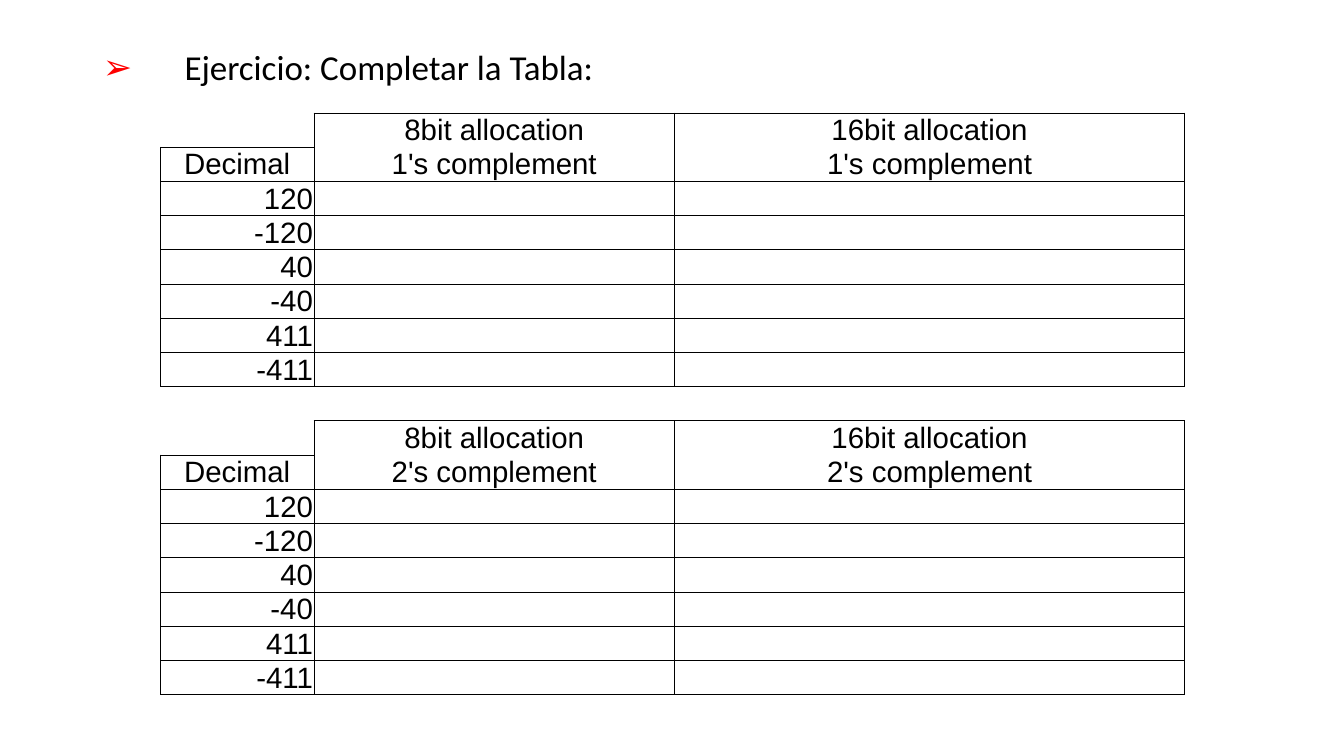
from dataclasses import dataclass

from lxml import etree
from pptx import Presentation
from pptx.dml.color import RGBColor
from pptx.enum.text import MSO_ANCHOR, MSO_AUTO_SIZE, PP_ALIGN
from pptx.oxml.ns import qn
from pptx.util import Inches, Pt

LEFT, MID, RIGHT = PP_ALIGN.LEFT, PP_ALIGN.CENTER, PP_ALIGN.RIGHT
CENTER, BOTTOM = MSO_ANCHOR.MIDDLE, MSO_ANCHOR.BOTTOM
FIXED = MSO_AUTO_SIZE.NONE


@dataclass(frozen=True)
class Theme:
    ink: str = "000000"
    mark: str = "FF0000"
    head: str = "Calibri"
    body: str = "Arial"
    head_pt: float = 25
    body_pt: float = 21
    line_pt: float = 0.5


THEME = Theme()
WIDE, HIGH = 13.33, 7.5
TITLE_BOX = (0.92, 0.4, 11.5, 0.58)
TABLE_BOX = (1.59, 1.12, 10.16, 5.77)
COLS = (0.15, 0.352, 0.498)  # shares of the table width
INDENT = 0.81
VALUES = (120, -120, 40, -40, 411, -411)


def add_run(para, text, font, size):
    run = para.add_run()
    run.text = text
    run.font.name = font
    run.font.size = Pt(size)
    run.font.color.rgb = RGBColor.from_string(THEME.ink)


def add_color(parent, value):
    etree.SubElement(parent, qn("a:srgbClr"), val=value)


# Bulleted title
def add_title(slide, box, text):
    title = slide.shapes.title
    title.left, title.top, title.width, title.height = map(Inches, box)
    frame = title.text_frame
    frame.word_wrap = True
    frame.auto_size = FIXED
    frame.vertical_anchor = CENTER
    para = frame.paragraphs[0]
    para.alignment = LEFT
    para.line_spacing = 0.9
    add_run(para, text, THEME.head, THEME.head_pt)
    props = para._p.get_or_add_pPr()
    props.set("marL", str(Inches(INDENT)))
    props.set("indent", str(-Inches(INDENT)))
    add_color(etree.SubElement(props, qn("a:buClr")), THEME.mark)
    etree.SubElement(props, qn("a:buFont"), typeface=THEME.body)
    etree.SubElement(props, qn("a:buChar"), char="➢")


# Table rows: each cell is (text, alignment, drawn sides)
def block_rows(kind):
    blank = ("", LEFT, "LRTB")
    yield [("", LEFT, "RB")] + [
        (f"{bits}bit allocation", MID, "LRT") for bits in (8, 16)]
    yield [("Decimal", MID, "LRTB")] + [
        (f"{kind}'s complement", MID, "LRB")] * 2
    for value in VALUES:
        yield [(str(value), RIGHT, "LRTB"), blank, blank]


def set_cell(cell, text, align, sides):
    cell.margin_left = cell.margin_right = Inches(0.01)
    cell.margin_top = cell.margin_bottom = 0
    cell.vertical_anchor = BOTTOM if align == RIGHT else CENTER
    para = cell.text_frame.paragraphs[0]
    para.alignment = align
    if text:
        add_run(para, text, THEME.body, THEME.body_pt)
    props = cell._tc.get_or_add_tcPr()
    for side in "LRTB":
        line = etree.SubElement(props, qn(f"a:ln{side}"),
                                w=str(Pt(THEME.line_pt)))
        if side in sides:
            add_color(etree.SubElement(line, qn("a:solidFill")), THEME.ink)
        else:
            etree.SubElement(line, qn("a:noFill"))
    cell.fill.background()


# Two exercise blocks in one table, with an open row between them
def add_grid(slide, box):
    gap = [("", LEFT, "T")] + [("", LEFT, "TB")] * 2
    rows = [*block_rows(1), gap, *block_rows(2)]
    shape = slide.shapes.add_table(len(rows), len(COLS), *map(Inches, box))
    table = shape.table
    table.first_row = table.horz_banding = False
    for col, share in zip(table.columns, COLS):
        col.width = Inches(box[2] * share)
    for row, cells in zip(table.rows, rows):
        row.height = Inches(box[3] / len(rows))
        for cell, parts in zip(row.cells, cells):
            set_cell(cell, *parts)


def main():
    deck = Presentation()
    deck.slide_width, deck.slide_height = Inches(WIDE), Inches(HIGH)
    slide = deck.slides.add_slide(deck.slide_layouts.get_by_name("Title Only"))
    add_title(slide, TITLE_BOX, "Ejercicio: Completar la Tabla:")
    add_grid(slide, TABLE_BOX)
    deck.save("out.pptx")


if __name__ == "__main__":
    main()
